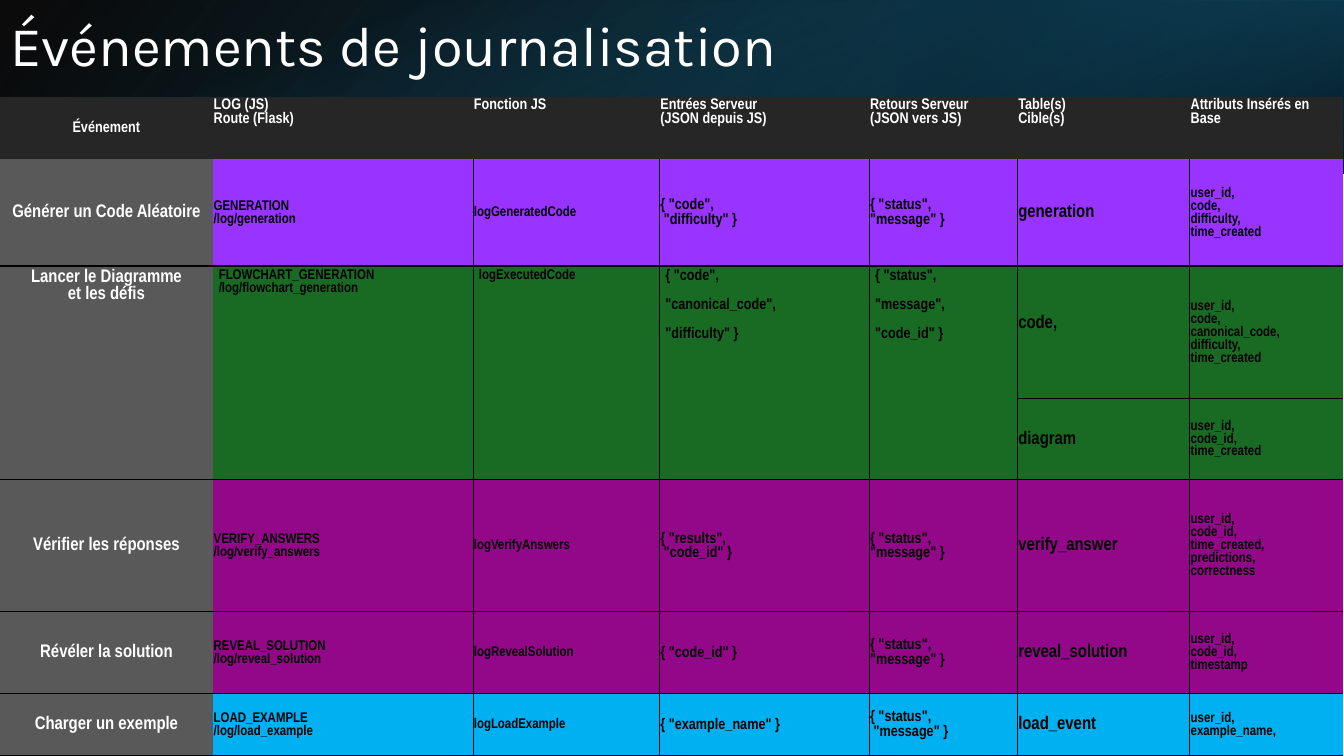
from lxml.etree import SubElement
from pptx import Presentation
from pptx.dml.color import RGBColor
from pptx.enum.shapes import MSO_SHAPE
from pptx.enum.text import MSO_ANCHOR as ANCHOR, MSO_AUTO_SIZE as AUTO_SIZE, PP_ALIGN as ALIGN
from pptx.oxml import parse_xml
from pptx.oxml.ns import nsdecls, qn
from pptx.util import Inches, Pt

COLORS = {
    "white": "FFFFFF", "black": "000000", "header": "262626", "event": "595959",
    "purple": "9933FF", "green": "196B24", "magenta": "920888", "cyan": "00B0F0",
    "navy": "104862", "deep": "0B3041", "teal": "156082",
}


def add_gradient_band(box, stops, angle, rotation=0, flipped=False):
    shape = slide.shapes.add_shape(MSO_SHAPE.RECTANGLE, *[Inches(v) for v in box])
    shape.shadow.inherit = False
    shape.line.fill.background()
    shape.rotation = rotation
    if flipped:
        shape.element.spPr.find(qn("a:xfrm")).set("flipH", "1")
    shape.fill.gradient()
    shape.fill.gradient_angle = 360 - angle
    for stop, (position, color, opacity) in zip(shape.fill.gradient_stops, stops):
        stop.position = position / 100
        stop.color.rgb = RGBColor.from_string(COLORS[color])
        color_element = shape.element.spPr.findall(".//" + qn("a:srgbClr"))[-2:]
        target = color_element[0] if position < 50 else color_element[1]
        SubElement(target, qn("a:alpha")).set("val", str(opacity * 1000))


def set_borders(cell, widths):
    properties = cell._tc.get_or_add_tcPr()
    for index, (side, width) in enumerate(widths):
        properties.insert(index, parse_xml(
            f'<a:ln{side} {nsdecls("a")} w="{Pt(width)}"><a:solidFill>'
            f'<a:srgbClr val="{COLORS["black"]}"/></a:solidFill></a:ln{side}>'))


presentation = Presentation()
presentation.slide_width = Inches(13.33)
presentation.slide_height = Inches(7.5)
slide = presentation.slides.add_slide(presentation.slide_layouts[5])

# Gradient banner
add_gradient_band((0, 0, 13.33, 1.72), [(0, "black", 96), (100, "navy", 100)], 140, flipped=True)
add_gradient_band((8.89, 0, 4.44, 1.72), [(19, "deep", 68), (100, "teal", 79)], 320, 180, True)
add_gradient_band((5.8, -5.8, 1.72, 13.33), [(23, "teal", 0), (99, "black", 74)], 340, 90)

# Title, brought in front of the banner
title = slide.shapes.title
title.left, title.top, title.width, title.height = [Inches(v) for v in (0, 0, 10.98, 0.96)]
title.element.getparent().append(title.element)
title.text_frame.text = "Événements de journalisation"
title.text_frame.vertical_anchor = ANCHOR.MIDDLE
title.text_frame.auto_size = AUTO_SIZE.NONE
paragraph = title.text_frame.paragraphs[0]
paragraph.alignment = ALIGN.LEFT
paragraph.line_spacing = 0.9
paragraph.font.size = Pt(40)
paragraph.font.name = "Karla"
paragraph.font.color.rgb = RGBColor.from_string(COLORS["white"])

# Table content: row colour, row height, cells (a blank line starts a new paragraph)
column_widths = [2.11, 2.58, 1.85, 2.08, 1.47, 1.71, 1.52]
column_sizes = [13, 10, 10, 11, 11, 13, 10]
rows = [
    ("header", 0.62, ["Événement", "LOG (JS)\nRoute (Flask)", "Fonction JS",
                      "Entrées Serveur\n(JSON depuis JS)", "Retours Serveur\n(JSON vers JS)",
                      "Table(s)\nCible(s)", "Attributs Insérés en Base"]),
    ("purple", 1.06, ["Générer un Code Aléatoire", "GENERATION\n/log/generation",
                      "logGeneratedCode", '{ "code",\n "difficulty" }',
                      '{ "status",\n"message" }', "generation",
                      "user_id,\ncode,\ndifficulty,\ntime_created"]),
    ("green", 1.31, ["Lancer le Diagramme\net les défis",
                     "FLOWCHART_GENERATION\n/log/flowchart_generation", "logExecutedCode",
                     '{ "code",\n\n"canonical_code",\n\n"difficulty" }',
                     '{ "status",\n\n"message",\n\n"code_id" }', "code,",
                     "user_id,\ncode,\ncanonical_code,\ndifficulty,\ntime_created"]),
    ("green", 0.81, [None] * 5 + ["diagram", "user_id,\ncode_id,\ntime_created"]),
    ("magenta", 1.31, ["Vérifier les réponses", "VERIFY_ANSWERS\n/log/verify_answers",
                       "logVerifyAnswers", '{ "results",\n "code_id" }',
                       '{ "status",\n"message" }', "verify_answer",
                       "user_id,\ncode_id,\ntime_created,\npredictions,\ncorrectness"]),
    ("magenta", 0.81, ["Révéler la solution", "REVEAL_SOLUTION\n/log/reveal_solution",
                       "logRevealSolution", '{ "code_id" }', '{ "status",\n"message" }',
                       "reveal_solution", "user_id,\ncode_id,\ntimestamp"]),
    ("cyan", 0.62, ["Charger un exemple", "LOAD_EXAMPLE\n/log/load_example",
                    "logLoadExample", '{ "example_name" }', '{ "status",\n "message" }',
                    "load_event", "user_id,\nexample_name,"]),
]
split_row = 2  # this event fills two target tables

# Table frame, with the plain "no style, no grid" look
table = slide.shapes.add_table(len(rows), len(column_widths), Inches(0), Inches(0.96),
                               Inches(13.33), Inches(6.54)).table
table.first_row = table.horz_banding = False
table._tbl.tblPr.find(qn("a:tableStyleId")).text = "{2D5ABB26-0587-4C30-8999-92F81FD0307C}"
for column, width in zip(table.columns, column_widths):
    column.width = Inches(width)
for column_index in range(5):
    table.cell(split_row, column_index).merge(table.cell(split_row + 1, column_index))

# Cells
for row_index, (row_color, height, texts) in enumerate(rows):
    table.rows[row_index].height = Inches(height)
    is_header = row_index == 0
    for column_index, text in enumerate(texts):
        cell = table.cell(row_index, column_index)
        is_event = column_index == 0
        fill_color = "event" if is_event and not is_header else row_color
        cell.fill.solid()
        cell.fill.fore_color.rgb = RGBColor.from_string(COLORS[fill_color])

        if not is_header:
            thin_split = column_index >= 5
            borders = []
            if 2 <= column_index <= 5:
                borders.append(("L", 0.5))
            if 1 <= column_index <= 4:
                borders.append(("R", 0.5))
            if row_index > 1:
                borders.append(("T", 0.5 if thin_split and row_index == split_row + 1 else 1))
            borders.append(("B", 0.5 if thin_split and row_index == split_row else 1))
            set_borders(cell, borders)
        if text is None:
            continue

        merged = cell.is_merge_origin
        cell.margin_left = cell.margin_right = Inches(0.06 if merged else 0.01)
        cell.margin_top = Inches(0.03 if merged else 0.01)
        cell.margin_bottom = Inches(0.03 if merged else 0.17 if text == "code," else 0)
        top_aligned = merged or (is_header and not is_event)
        cell.vertical_anchor = ANCHOR.TOP if top_aligned else ANCHOR.MIDDLE
        parts = text.split("\n\n")
        cell.text_frame.text = "\n".join(part.replace("\n", "\v") for part in parts)
        for paragraph in cell.text_frame.paragraphs:
            paragraph.alignment = ALIGN.CENTER if is_event else ALIGN.LEFT
            if len(parts) > 1:
                paragraph.space_after = Pt(10.5)
            font = paragraph.font
            font.name = "Arial Narrow"
            font.bold = True
            font.size = Pt(11 if is_header else column_sizes[column_index])
            text_color = "white" if is_header or is_event else "black"
            font.color.rgb = RGBColor.from_string(COLORS[text_color])

presentation.save("out.pptx")
